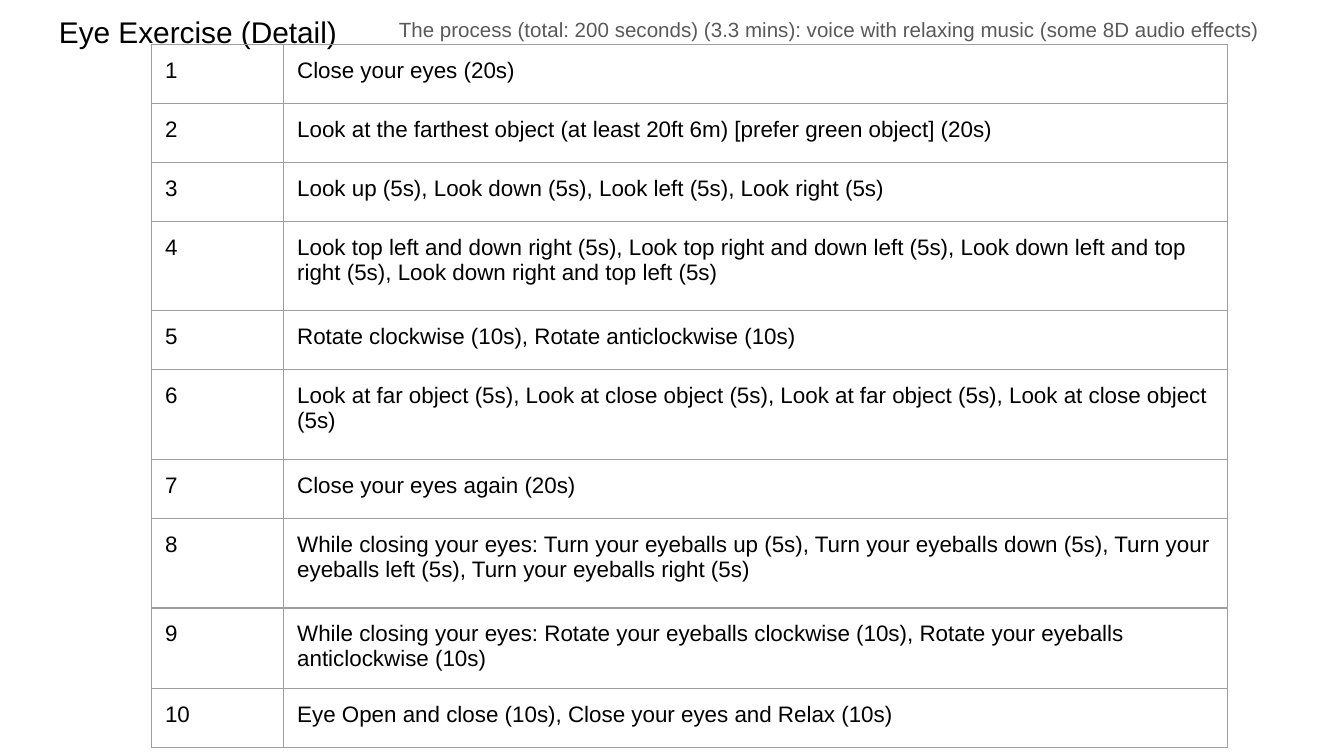
import pptx
import pptx.dml.color
import pptx.enum.text
import pptx.oxml
import pptx.oxml.ns
import pptx.util

Pt = pptx.util.Pt
INSET = Pt(7.2)


def color(hex_value):
    return pptx.dml.color.RGBColor.from_string(hex_value)


def write(frame, text, size=12, ink="000000", line_spacing=1.0, space_after=0):
    frame.word_wrap = True
    paragraph = frame.paragraphs[0]
    paragraph.line_spacing = line_spacing
    paragraph.space_after = Pt(space_after)
    run = paragraph.add_run()
    run.text = text
    run.font.name = "Arial"
    run.font.size = Pt(size)
    run.font.color.rgb = color(ink)


deck = pptx.Presentation()
deck.slide_width = Pt(720)
deck.slide_height = Pt(405)
slide = deck.slides.add_slide(deck.slide_layouts[6])

headings = [
    (24.5, 671, 24, "Eye Exercise (Detail)", {"size": 16}),
    (206.6, 513.4, 30.2,
     "The process (total: 200 seconds) (3.3 mins): voice with relaxing music (some 8D audio effects)",
     {"size": 11, "ink": "595959", "line_spacing": 1.15, "space_after": 16}),
]
for left, width, height, text, style in headings:
    heading = slide.shapes.add_textbox(Pt(left), Pt(0), Pt(width), Pt(height)).text_frame
    heading.margin_left = heading.margin_right = INSET
    heading.margin_top = heading.margin_bottom = INSET
    heading.vertical_anchor = pptx.enum.text.MSO_ANCHOR.TOP
    write(heading, text, **style)

short, tall = 31.6, 48
steps = [
    ("Close your eyes (20s)", short),
    ("Look at the farthest object (at least 20ft 6m) [prefer green object] (20s)", short),
    ("Look up (5s), Look down (5s), Look left (5s), Look right (5s)", short),
    ("Look top left and down right (5s), Look top right and down left (5s), "
     "Look down left and top right (5s), Look down right and top left (5s)", tall),
    ("Rotate clockwise (10s), Rotate anticlockwise (10s)", short),
    ("Look at far object (5s), Look at close object (5s), "
     "Look at far object (5s), Look at close object (5s)", tall),
    ("Close your eyes again (20s)", short),
    ("While closing your eyes: Turn your eyeballs up (5s), Turn your eyeballs down (5s), "
     "Turn your eyeballs left (5s), Turn your eyeballs right (5s)", tall),
    ("While closing your eyes: Rotate your eyeballs clockwise (10s), "
     "Rotate your eyeballs anticlockwise (10s)", short),
    ("Eye Open and close (10s), Close your eyes and Relax (10s)", short),
]
column_widths = [70.8, 505.4]
exercise = slide.shapes.add_table(
    len(steps), 2, Pt(81.2), Pt(23.8),
    Pt(sum(column_widths)), Pt(sum(height for _, height in steps))).table
exercise.first_row = False
exercise.horz_banding = False
for column, width in zip(exercise.columns, column_widths):
    column.width = Pt(width)

for index, (instruction, height) in enumerate(steps):
    exercise.rows[index].height = Pt(height)
    for position, text in enumerate([str(index + 1), instruction]):
        cell = exercise.cell(index, position)
        cell.margin_left = cell.margin_right = INSET
        cell.margin_top = cell.margin_bottom = INSET
        write(cell.text_frame, text)
        properties = cell._tc.get_or_add_tcPr()
        for side in ("lnL", "lnR", "lnT", "lnB"):
            properties.append(pptx.oxml.parse_xml(
                f'<a:{side} {pptx.oxml.ns.nsdecls("a")} w="{Pt(0.75)}">'
                '<a:solidFill><a:srgbClr val="9E9E9E"/></a:solidFill>'
                f'</a:{side}>'))
        cell.fill.background()

deck.save("out.pptx")
